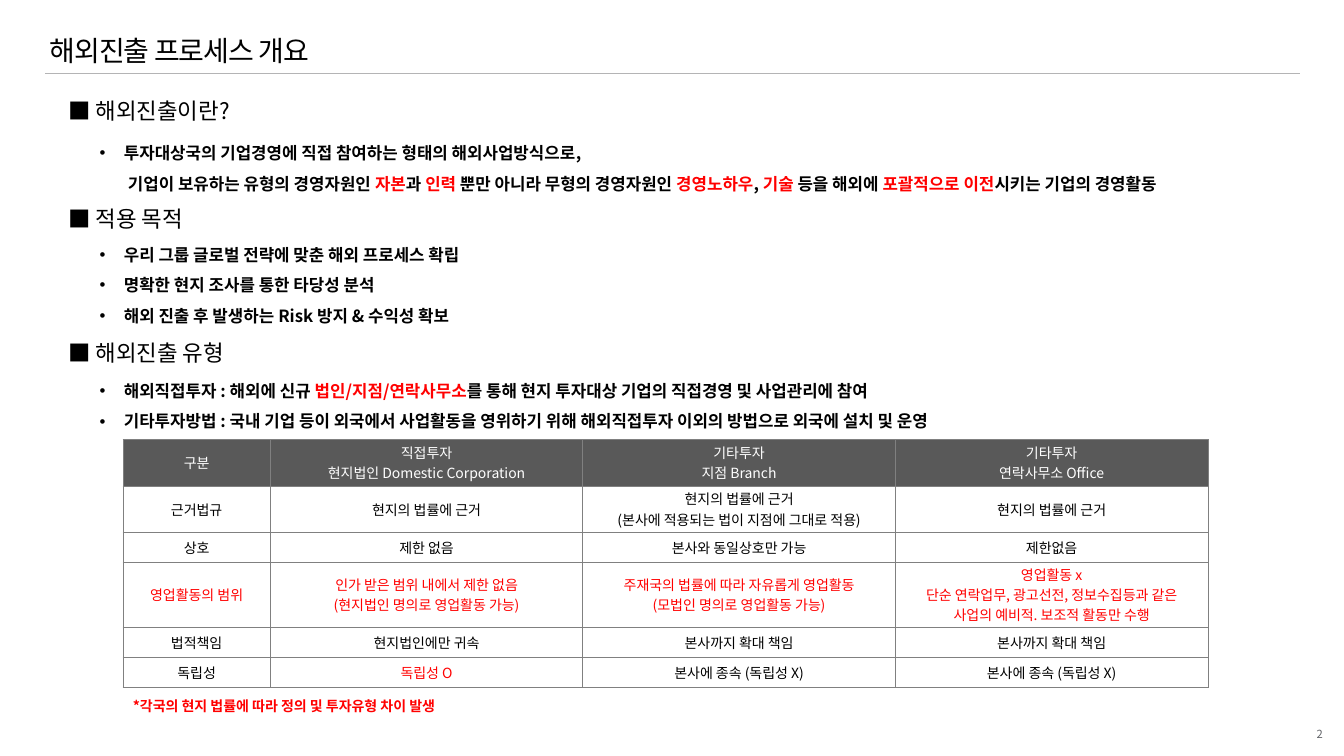
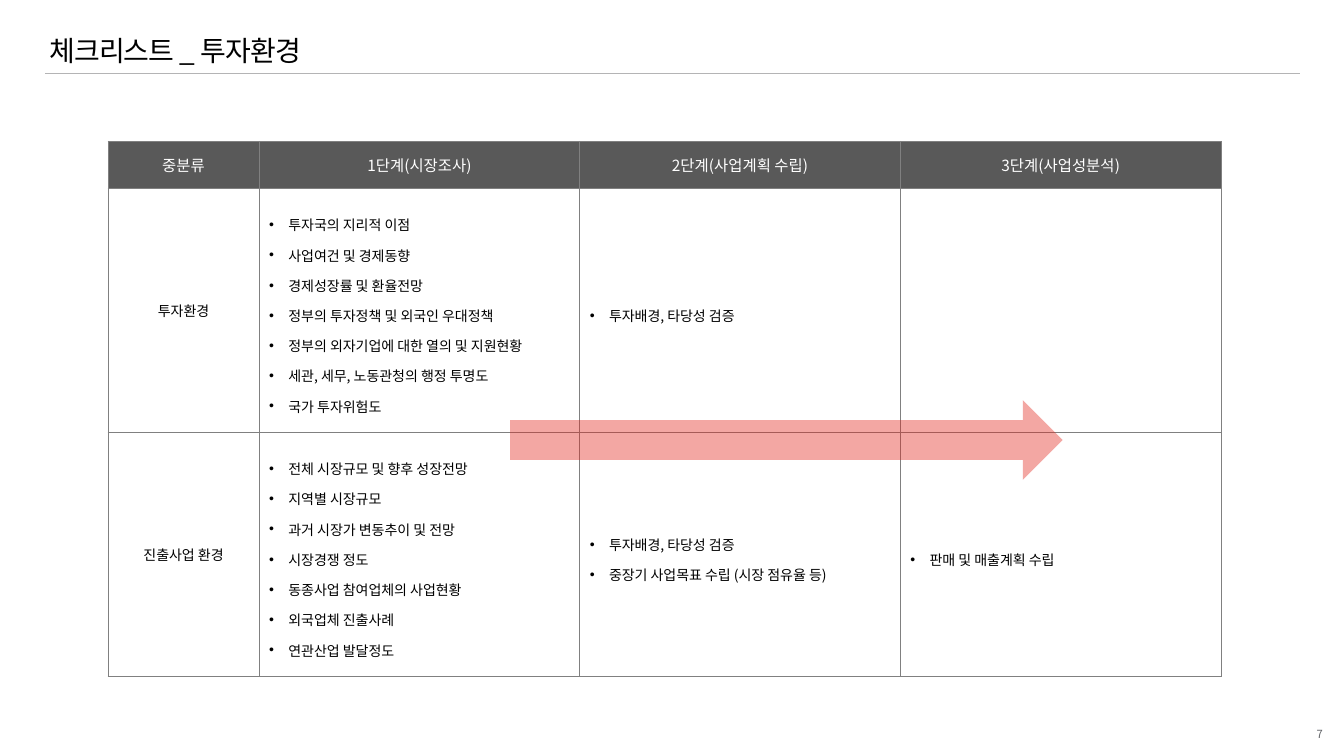
import lxml.etree
import pptx
import pptx.dml.color
import pptx.enum.shapes
import pptx.enum.text
import pptx.oxml.ns
import pptx.util

Inches = pptx.util.Inches
Pt = pptx.util.Pt
qn = pptx.oxml.ns.qn
ALIGN = pptx.enum.text.PP_ALIGN
MIDDLE = pptx.enum.text.MSO_ANCHOR.MIDDLE

FONT = "Noto Sans CJK KR"
COLORS = {
    "text": "000000",
    "accent": "FF0000",
    "header": "595959",
    "header_text": "FFFFFF",
    "border": "808080",
    "rule": "B4B4B5",
    "page_number": "636569",
    "arrow": "E1251B",
}
RGB = {name: pptx.dml.color.RGBColor.from_string(code) for name, code in COLORS.items()}


def write_lines(frame, lines, size, color="text", bold=False, align=ALIGN.LEFT,
                spacing=1.0, hang=0, tracking=0):
    """One paragraph per line; |bars| enclose red words, a leading > indents without a bullet."""
    for number, line in enumerate(lines):
        para = frame.paragraphs[0] if number == 0 else frame.add_paragraph()
        para.alignment = align
        para.line_spacing = spacing
        properties = para._p.get_or_add_pPr()
        if line.startswith(">"):
            line = line[1:]
            properties.set("marL", str(Inches(0.28)))
        elif hang:
            properties.set("marL", str(Inches(hang)))
            properties.set("indent", str(-Inches(hang)))
            lxml.etree.SubElement(properties, qn("a:buFont")).set("typeface", "Arial")
            lxml.etree.SubElement(properties, qn("a:buChar")).set("char", "•")
        for position, words in enumerate(line.split("|")):
            if not words:
                continue
            span = para.add_run()
            span.text = words
            span.font.name = FONT
            span.font.size = Pt(size)
            span.font.bold = bold
            span.font.color.rgb = RGB["accent" if position % 2 else color]
            run_properties = span._r.get_or_add_rPr()
            lxml.etree.SubElement(run_properties, qn("a:ea")).set("typeface", FONT)
            if tracking:
                run_properties.set("spc", str(tracking))


def add_grid(page, left, top, widths, heights, rows, header_size, margin, hang=0):
    """Bordered table with a dark header; hang bullets the cells right of the first column."""
    grid = page.shapes.add_table(len(rows), len(widths), Inches(left), Inches(top),
                                 Inches(sum(widths)), Inches(sum(heights))).table
    grid.horz_banding = False
    for column, width in zip(grid.columns, widths):
        column.width = Inches(width)
    for row, height in zip(grid.rows, heights):
        row.height = Inches(height)
    for row_number, row in enumerate(rows):
        for column_number, lines in enumerate(row):
            cell = grid.cell(row_number, column_number)
            cell.vertical_anchor = MIDDLE
            cell.margin_top = cell.margin_bottom = Inches(margin)
            cell_properties = cell._tc.get_or_add_tcPr()
            for side in ("lnL", "lnR", "lnT", "lnB"):
                edge = lxml.etree.SubElement(cell_properties, qn("a:" + side))
                edge.set("w", str(Pt(0.5)))
                paint = lxml.etree.SubElement(edge, qn("a:solidFill"))
                lxml.etree.SubElement(paint, qn("a:srgbClr")).set("val", COLORS["border"])
            if row_number == 0:
                cell.fill.solid()
                cell.fill.fore_color.rgb = RGB["header"]
                write_lines(cell.text_frame, lines, header_size, "header_text", align=ALIGN.CENTER)
                continue
            cell.fill.background()
            if hang and column_number:
                write_lines(cell.text_frame, lines, 10, spacing=1.5, hang=hang)
            else:
                write_lines(cell.text_frame, lines, 10, align=ALIGN.CENTER)


deck = pptx.Presentation()
deck.slide_width = Inches(13.33)
deck.slide_height = Inches(7.5)

# Title, rule and page number shared by all slides
pages = []
for title, page_number in (("해외진출 프로세스 개요", "2"), ("체크리스트 _ 투자환경", "7")):
    page = deck.slides.add_slide(deck.slide_layouts[6])
    pages.append(page)
    rule = page.shapes.add_connector(pptx.enum.shapes.MSO_CONNECTOR.STRAIGHT,
                                     Inches(0.45), Inches(0.73), Inches(12.89), Inches(0.73))
    rule.line.color.rgb = RGB["rule"]
    rule.line.width = Pt(0.5)
    lxml.etree.SubElement(rule._element.spPr, qn("a:effectLst"))

    frame = page.shapes.add_textbox(Inches(0.49), Inches(0.32), Inches(9.3), Inches(0.39)).text_frame
    frame.word_wrap = True
    frame.vertical_anchor = MIDDLE
    frame.margin_left = frame.margin_right = 0
    write_lines(frame, [title], 20, spacing=0.9, tracking=-70)

    frame = page.shapes.add_textbox(Inches(12.98), Inches(7.22), Inches(0.14), Inches(0.13)).text_frame
    frame.word_wrap = False
    frame.margin_left = frame.margin_right = frame.margin_top = frame.margin_bottom = 0
    write_lines(frame, [page_number], 8, "page_number", align=ALIGN.RIGHT)

overview, checklist = pages

# Overview: three headed bullet lists
sections = [
    (0.85, "■ 해외진출이란?", 1.27, 11.39, 0.67, [
        "투자대상국의 기업경영에 직접 참여하는 형태의 해외사업방식으로,",
        ">기업이 보유하는 유형의 경영자원인 |자본|과 |인력| 뿐만 아니라 무형의 경영자원인 "
        "|경영노하우|, |기술| 등을 해외에 |포괄적으로 이전|시키는 기업의 경영활동",
    ]),
    (1.93, "■ 적용 목적", 2.28, 8.9, 0.98, [
        "우리 그룹 글로벌 전략에 맞춘 해외 프로세스 확립",
        "명확한 현지 조사를 통한 타당성 분석",
        "해외 진출 후 발생하는 Risk 방지 & 수익성 확보",
    ]),
    (3.25, "■ 해외진출 유형", 3.63, 11.74, 0.67, [
        "해외직접투자 : 해외에 신규 |법인/지점/연락사무소|를 통해 현지 투자대상 기업의 "
        "직접경영 및 사업관리에 참여",
        "기타투자방법 : 국내 기업 등이 외국에서 사업활동을 영위하기 위해 "
        "해외직접투자 이외의 방법으로 외국에 설치 및 운영",
    ]),
]
for heading_top, heading, list_top, list_width, list_height, bullets in sections:
    frame = overview.shapes.add_textbox(Inches(0.58), Inches(heading_top),
                                        Inches(10.55), Inches(0.52)).text_frame
    frame.word_wrap = True
    frame.vertical_anchor = MIDDLE
    write_lines(frame, [heading], 16, spacing=0.9)
    frame = overview.shapes.add_textbox(Inches(0.89), Inches(list_top),
                                        Inches(list_width), Inches(list_height)).text_frame
    frame.word_wrap = True
    write_lines(frame, bullets, 12, bold=True, spacing=1.5, hang=0.24)

# Overview: comparison of investment types
investment_rows = [
    [["구분"], ["직접투자", "현지법인 Domestic Corporation"],
     ["기타투자", "지점 Branch"], ["기타투자", "연락사무소 Office"]],
    [["근거법규"], ["현지의 법률에 근거"],
     ["현지의 법률에 근거", "(본사에 적용되는 법이 지점에 그대로 적용)"], ["현지의 법률에 근거"]],
    [["상호"], ["제한 없음"], ["본사와 동일상호만 가능"], ["제한없음"]],
    [["|영업활동의 범위"],
     ["|인가 받은 범위 내에서 제한 없음", "|(현지법인 명의로 영업활동 가능)"],
     ["|주재국의 법률에 따라 자유롭게 영업활동", "|(모법인 명의로 영업활동 가능)"],
     ["|영업활동 x", "|단순 연락업무, 광고선전, 정보수집등과 같은",
      "|사업의 예비적. 보조적 활동만 수행"]],
    [["법적책임"], ["현지법인에만 귀속"], ["본사까지 확대 책임"], ["본사까지 확대 책임"]],
    [["독립성"], ["|독립성 O"], ["본사에 종속 (독립성 X)"], ["본사에 종속 (독립성 X)"]],
]
add_grid(overview, 1.22, 4.36, [1.46] + [3.1] * 3, [0.46, 0.46, 0.3, 0.64, 0.3, 0.3],
         investment_rows, header_size=10, margin=0.01)

frame = overview.shapes.add_textbox(Inches(1.22), Inches(6.79), Inches(11.83), Inches(0.33)).text_frame
frame.word_wrap = True
write_lines(frame, ["*각국의 현지 법률에 따라 정의 및 투자유형 차이 발생"], 10, "accent",
            bold=True, spacing=1.5)

# Checklist: stages of the investment environment
stage_rows = [
    [["중분류"], ["1단계(시장조사)"], ["2단계(사업계획 수립)"], ["3단계(사업성분석)"]],
    [["투자환경"],
     ["투자국의 지리적 이점", "사업여건 및 경제동향", "경제성장률 및 환율전망",
      "정부의 투자정책 및 외국인 우대정책", "정부의 외자기업에 대한 열의 및 지원현황",
      "세관, 세무, 노동관청의 행정 투명도", "국가 투자위험도"],
     ["투자배경, 타당성 검증"], []],
    [["진출사업 환경"],
     ["전체 시장규모 및 향후 성장전망", "지역별 시장규모", "과거 시장가 변동추이 및 전망",
      "시장경쟁 정도", "동종사업 참여업체의 사업현황", "외국업체 진출사례", "연관산업 발달정도"],
     ["투자배경, 타당성 검증", "중장기 사업목표 수립 (시장 점유율 등)"],
     ["판매 및 매출계획 수립"]],
]
add_grid(checklist, 1.07, 1.4, [1.5] + [3.18] * 3, [0.47, 2.42, 2.42],
         stage_rows, header_size=11, margin=0.05, hang=0.19)

arrow = checklist.shapes.add_shape(pptx.enum.shapes.MSO_SHAPE.RIGHT_ARROW,
                                   Inches(5.06), Inches(3.97), Inches(5.48), Inches(0.79))
arrow.shadow.inherit = False
arrow.fill.solid()
arrow.fill.fore_color.rgb = RGB["arrow"]
arrow.line.fill.background()
arrow_color = arrow._element.spPr.find(qn("a:solidFill")).find(qn("a:srgbClr"))
lxml.etree.SubElement(arrow_color, qn("a:alpha")).set("val", "40000")

deck.save("out.pptx")
